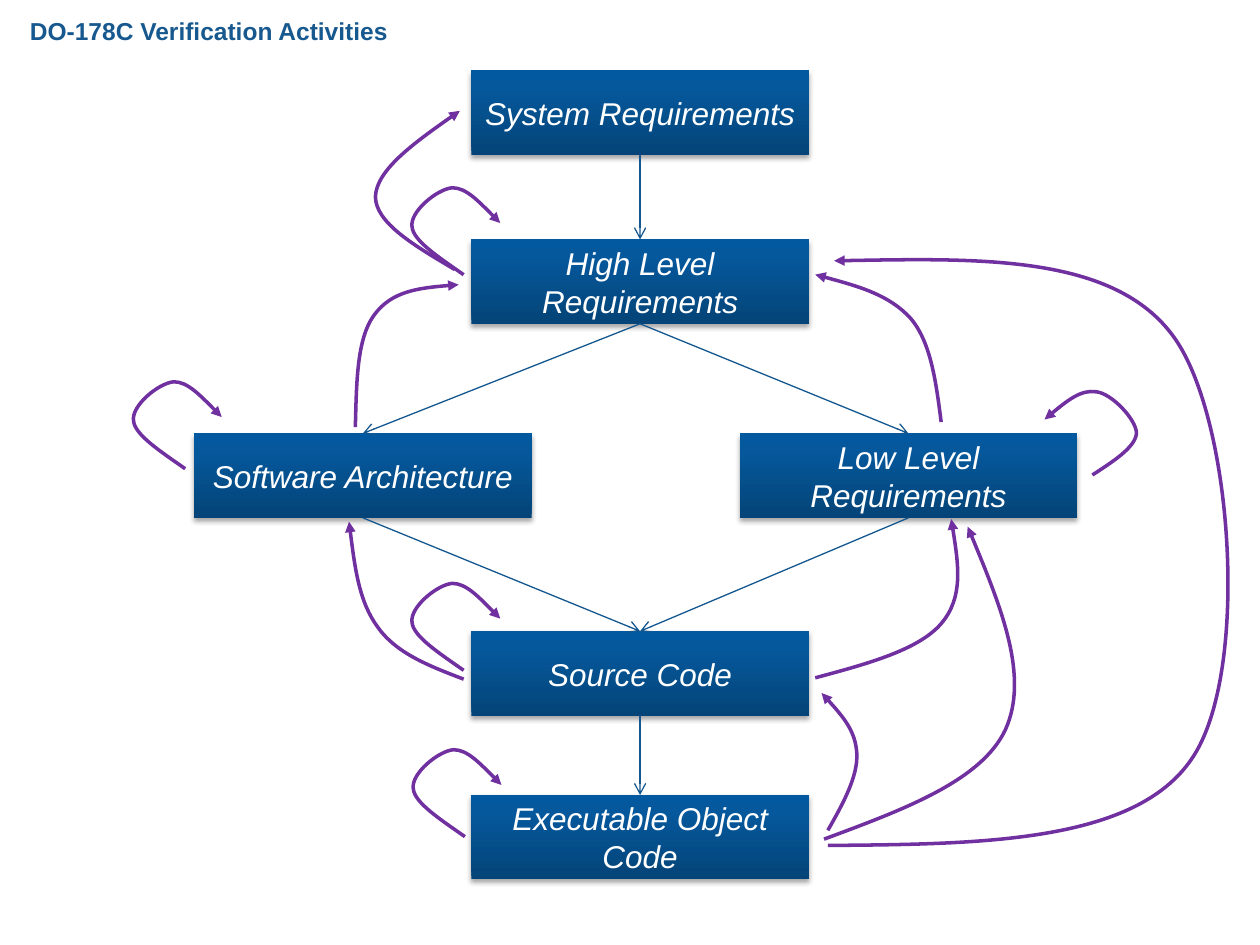
from copy import deepcopy
from dataclasses import dataclass

from lxml.etree import SubElement
from pptx import Presentation
from pptx.dml.color import RGBColor
from pptx.enum.shapes import MSO_CONNECTOR as Connector, MSO_SHAPE as Shape
from pptx.enum.text import MSO_ANCHOR as Anchor, MSO_AUTO_SIZE as AutoSize, PP_ALIGN as Align
from pptx.oxml.ns import qn
from pptx.util import Pt

PX = 9144  # EMU per px, 100 px to the inch


@dataclass(frozen=True)
class Theme:
    font: str = "Arial"
    title: str = "17598F"
    box_text: str = "FFFFFF"
    box_stops: tuple = ((0, "044478"), (0.8, "05589C"), (1, "0259A0"))
    shadow: str = "000000"
    flow: str = "14578F"
    trace: str = "7030A0"
    title_size: float = 14
    box_size: float = 18
    flow_width: float = 0.75
    trace_width: float = 2


THEME = Theme()
BOX_WIDTH, BOX_HEIGHT = 268, 67
TOP, LEFT, BOTTOM, RIGHT = 0, 1, 2, 3

# Development stages: left, top
STAGES = {
    "System Requirements": (374, 56),
    "High Level Requirements": (374, 190),
    "Low Level Requirements": (587, 344),
    "Software Architecture": (154, 344),
    "Source Code": (374, 501),
    "Executable Object Code": (374, 631),
}
FLOWS = [
    ("System Requirements", "High Level Requirements"),
    ("High Level Requirements", "Software Architecture"),
    ("High Level Requirements", "Low Level Requirements"),
    ("Software Architecture", "Source Code"),
    ("Low Level Requirements", "Source Code"),
    ("Source Code", "Executable Object Code"),
]

# Verification curves: start, then two control points and an end per segment
TRACES = [
    [(368, 539), (342, 529), (315, 519), (300, 498), (285, 478), (281, 446), (277, 414)],
    [(647, 538), (688, 527), (729, 516), (747, 495), (765, 474), (760, 443), (755, 412)],
    [(282, 339), (283, 304), (283, 269), (297, 250), (311, 231), (337, 228), (364, 226)],
    [(747, 335), (743, 304), (739, 272), (723, 253), (706, 234), (677, 226), (647, 218)],
    [(361, 214), (329, 195), (298, 177), (298, 156), (299, 135), (332, 111), (365, 88)],
    [(867, 377), (884, 366), (901, 355), (902, 344), (902, 333), (882, 312), (870, 311),
     (858, 309), (843, 321), (829, 333)],
    [(654, 666), (716, 643), (779, 620), (798, 579), (817, 537), (793, 478), (768, 418)],
    [(657, 671), (779, 670), (901, 669), (946, 602), (992, 535), (979, 334), (932, 268),
     (885, 202), (774, 205), (662, 207)],
    [(657, 659), (669, 638), (681, 616), (680, 598), (679, 580), (666, 565), (652, 550)],
]

# Self-checks share one loop, placed by its start
LOOP = [(0, 0), (-20, -14), (-40, -27), (-41, -38), (-43, -50), (-21, -68), (-9, -69),
        (2, -69), (15, -55), (29, -41)]
LOOP_STARTS = [(369, 664), (368, 532), (147, 372), (368, 218)]


def add_run(paragraph, text, size, color, bold=False, italic=False):
    run = paragraph.add_run()
    run.text = text
    font = run.font
    font.name, font.size = THEME.font, Pt(size)
    font.bold, font.italic = bold, italic
    font.color.rgb = RGBColor.from_string(color)


def add_title(slide, text):
    title = slide.shapes.title
    title.left, title.top, title.width, title.height = (v * PX for v in (12, 8, 306, 34))
    frame = title.text_frame
    frame.word_wrap = False
    frame.auto_size = AutoSize.SHAPE_TO_FIT_TEXT
    frame.vertical_anchor = Anchor.TOP
    frame.paragraphs[0].alignment = Align.RIGHT
    add_run(frame.paragraphs[0], text, THEME.title_size, THEME.title, bold=True)


def add_stage(slide, text, left, top):
    stage = slide.shapes.add_shape(
        Shape.RECTANGLE, left * PX, top * PX, BOX_WIDTH * PX, BOX_HEIGHT * PX)
    stage.line.fill.background()

    # Gradient from the bottom up
    stage.fill.gradient()
    stage.fill.gradient_angle = 90
    stop_list = stage.element.spPr.find(".//" + qn("a:gsLst"))
    stop_list.append(deepcopy(stop_list[0]))
    for stop, (position, color) in zip(stage.fill.gradient_stops, THEME.box_stops):
        stop.position = position
        stop.color.rgb = RGBColor.from_string(color)

    # Soft shadow below
    stage.shadow.inherit = False
    effects = stage.element.spPr.find(qn("a:effectLst"))
    shadow = SubElement(effects, qn("a:outerShdw"), blurRad=str(Pt(3.1)),
                        dist=str(Pt(1.8)), dir="5400000", rotWithShape="0")
    tint = SubElement(shadow, qn("a:srgbClr"), val=THEME.shadow)
    SubElement(tint, qn("a:alpha"), val="35000")

    frame = stage.text_frame
    frame.word_wrap = True
    frame.vertical_anchor = Anchor.MIDDLE
    frame.paragraphs[0].alignment = Align.CENTER
    add_run(frame.paragraphs[0], text, THEME.box_size, THEME.box_text, italic=True)
    return stage


def style_arrow(arrow, color, width, head):
    arrow.line.color.rgb = RGBColor.from_string(color)
    arrow.line.width = Pt(width)
    SubElement(arrow.element.spPr.find(qn("a:ln")), qn("a:tailEnd"), type=head)


def add_flow(slide, source, target):
    flow = slide.shapes.add_connector(Connector.STRAIGHT, 0, 0, 0, 0)
    flow.begin_connect(source, BOTTOM)
    flow.end_connect(target, TOP)
    style_arrow(flow, THEME.flow, THEME.flow_width, "arrow")
    SubElement(flow.element.spPr, qn("a:effectLst"))


def bezier_point(controls, t):
    weights = ((1 - t) ** 3, 3 * t * (1 - t) ** 2, 3 * t * t * (1 - t), t ** 3)
    return tuple(round(sum(w * v for w, v in zip(weights, axis))) for axis in zip(*controls))


def add_trace(slide, points):
    points = [(x * PX, y * PX) for x, y in points]
    segments = [points[i:i + 4] for i in range(0, len(points) - 1, 3)]

    # Points along the curve set the bounds of the shape
    outline = [bezier_point(segment, step / 20) for segment in segments for step in range(1, 21)]
    builder = slide.shapes.build_freeform(*points[0])
    builder.add_line_segments(outline, close=False)
    trace = builder.convert_to_shape()

    # Smooth segments take the place of the straight ones
    curve = trace.element.spPr.find(".//" + qn("a:path"))
    for straight in curve.findall(qn("a:lnTo")):
        curve.remove(straight)
    for segment in segments:
        bend = SubElement(curve, qn("a:cubicBezTo"))
        for x, y in segment[1:]:
            SubElement(bend, qn("a:pt"), x=str(x - trace.left), y=str(y - trace.top))

    trace.fill.background()
    trace.shadow.inherit = False
    style_arrow(trace, THEME.trace, THEME.trace_width, "triangle")


def main():
    deck = Presentation()
    deck.slide_width, deck.slide_height = 1000 * PX, 750 * PX
    slide = deck.slides.add_slide(deck.slide_layouts[5])
    add_title(slide, "DO-178C Verification Activities")

    stages = {text: add_stage(slide, text, *corner) for text, corner in STAGES.items()}
    for source, target in FLOWS:
        add_flow(slide, stages[source], stages[target])

    loops = [[(x + dx, y + dy) for dx, dy in LOOP] for x, y in LOOP_STARTS]
    for points in TRACES + loops:
        add_trace(slide, points)

    deck.save("out.pptx")


if __name__ == "__main__":
    main()
